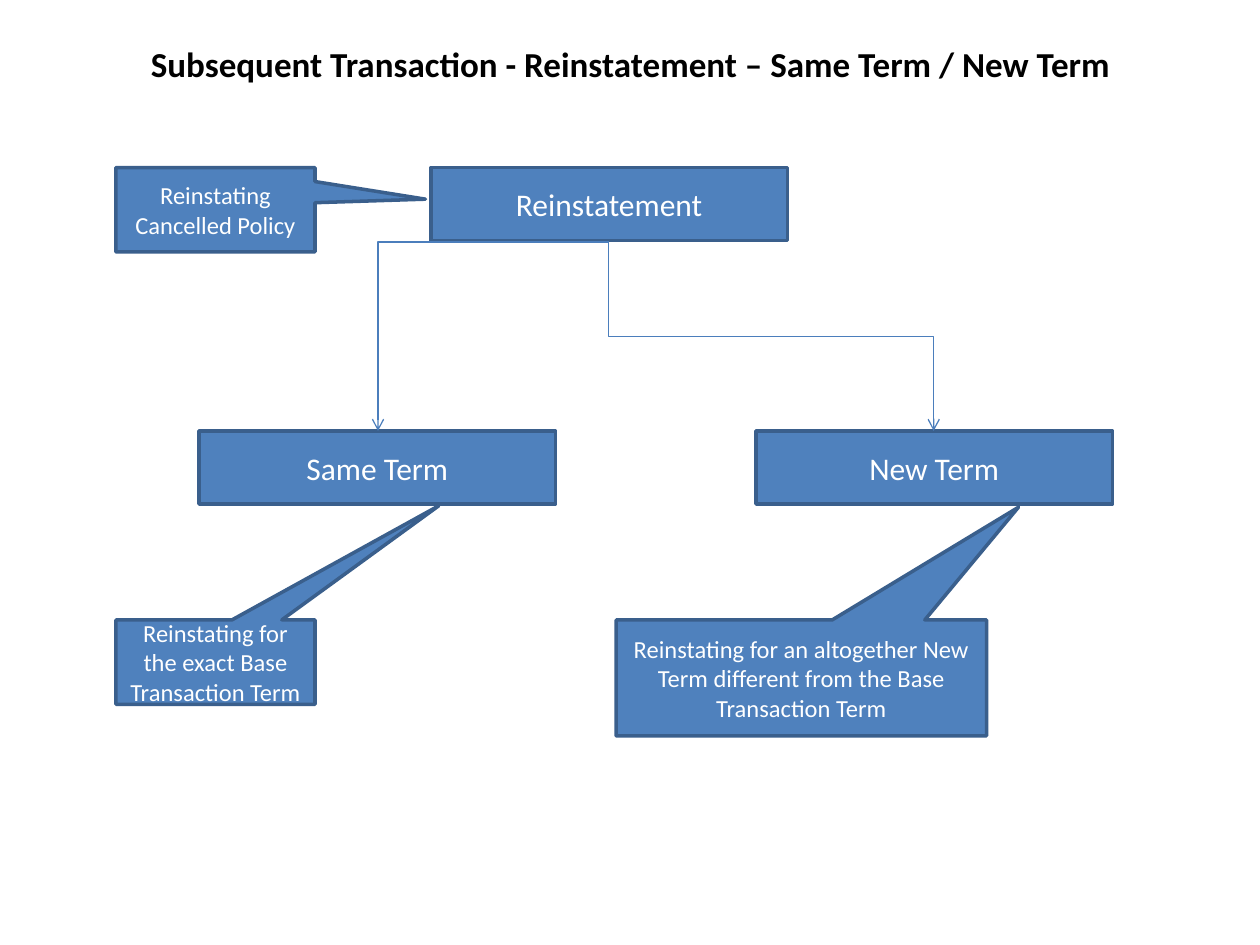
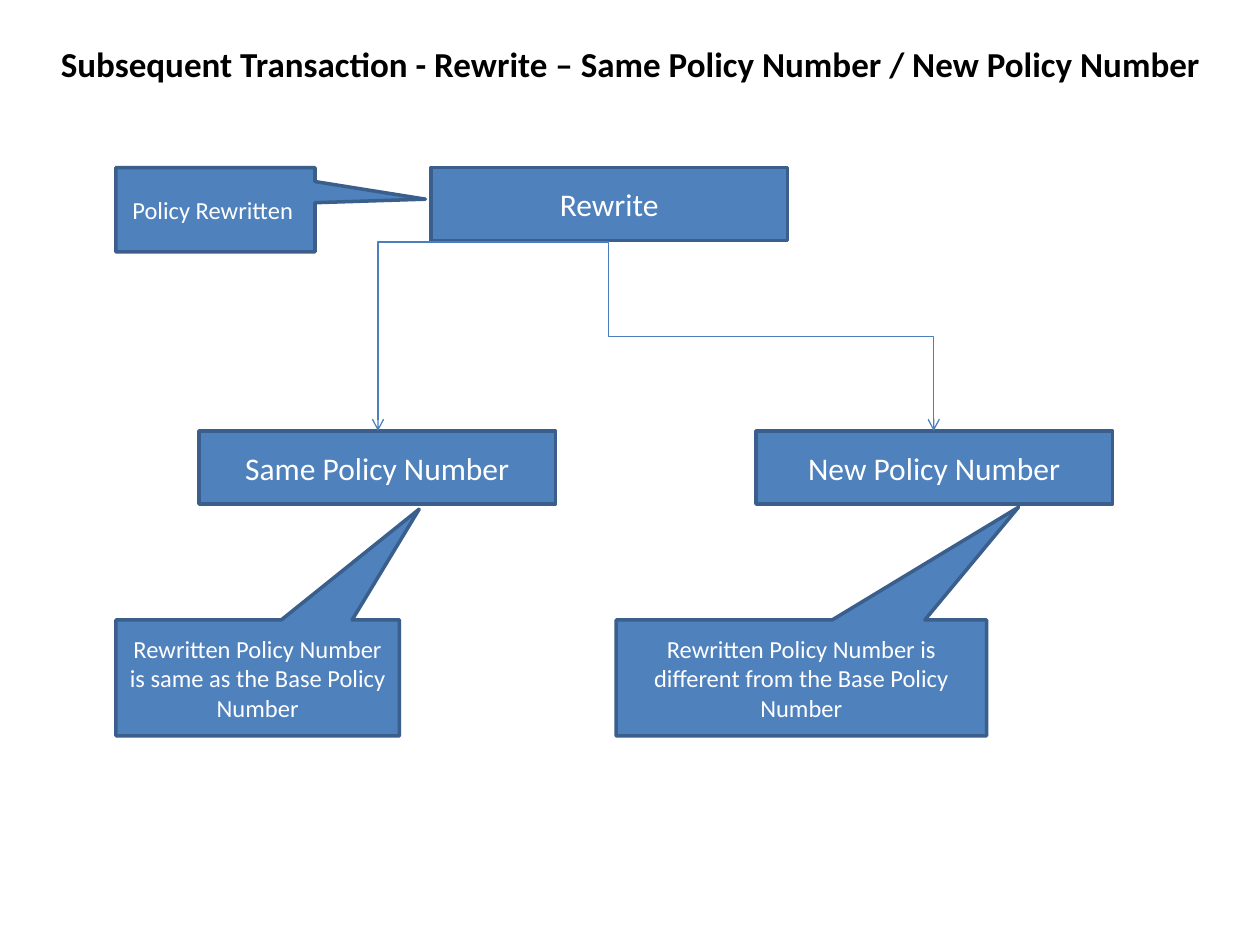
from lxml import etree
from pptx import Presentation
from pptx.dml.color import RGBColor
from pptx.enum.shapes import MSO_CONNECTOR as Connector, MSO_SHAPE as Shape
from pptx.enum.text import MSO_ANCHOR as Anchor, PP_ALIGN as Align
from pptx.oxml.ns import qn
from pptx.util import Inches, Pt

BLACK = RGBColor(0x00, 0x00, 0x00)
WHITE = RGBColor(0xFF, 0xFF, 0xFF)
BLUE = RGBColor(0x4F, 0x81, 0xBD)
OUTLINE = RGBColor(0x3A, 0x5F, 0x8C)
ARROW = RGBColor(0x4B, 0x7E, 0xBC)

BOX_SIZE = (2.83, 0.58)
BOX_PLACES = [(3.42, 1.33), (1.58, 3.42), (6, 3.42)]

# Preset, place and size before turning, turn and flip, target box
ARROWS = [
    ("bentConnector2", (3, 1.92, 1.83, 1.5), {"rot": "10800000", "flipV": "1"}, 1),
    ("bentConnector3", (5.37, 1.38, 1.5, 2.58), {"rot": "16200000", "flipH": "1"}, 2),
]

# Callouts: text, place and size, tip offset from the centre as a share of the size
TOP_CALLOUT = ((0.92, 1.33, 1.58, 0.67), (1.055, -0.125))
RIGHT_CALLOUT = ((4.89, 4.92, 2.94, 0.92), (0.586, -1.472))
SLIDES = [
    {
        "title": "Subsequent Transaction - Reinstatement – Same Term / New Term",
        "boxes": ["Reinstatement", "Same Term", "New Term"],
        "callouts": [
            ("Reinstating Cancelled Policy", *TOP_CALLOUT),
            ("Reinstating for the exact Base Transaction Term",
             (0.92, 4.92, 1.58, 0.67), (1.122, -1.852)),
            ("Reinstating for an altogether New Term different from the Base "
             "Transaction Term", *RIGHT_CALLOUT),
        ],
    },
    {
        "title": "Subsequent Transaction - Rewrite – Same Policy Number / New Policy Number",
        "boxes": ["Rewrite", "Same Policy Number", "New Policy Number"],
        "callouts": [
            ("Policy Rewritten ", *TOP_CALLOUT),
            ("Rewritten Policy Number is same as the Base Policy Number",
             (0.92, 4.92, 2.25, 0.92), (0.57, -1.456)),
            ("Rewritten Policy Number is different from the Base Policy Number",
             *RIGHT_CALLOUT),
        ],
    },
]


def write(shape, text, size, color, bold=False):
    """Put one centred paragraph in the middle of a shape."""
    frame = shape.text_frame
    frame.word_wrap = True
    frame.vertical_anchor = Anchor.MIDDLE
    paragraph = frame.paragraphs[0]
    paragraph.text = text
    paragraph.alignment = Align.CENTER
    font = paragraph.font
    font.name, font.size, font.bold = "Calibri", Pt(size), bold
    font.color.rgb = color


def add_blue_shape(slide, preset, place, text, size):
    """Add a blue outlined shape with white text and return it."""
    shape = slide.shapes.add_shape(preset, *map(Inches, place))
    shape.shadow.inherit = False
    shape.fill.solid()
    shape.fill.fore_color.rgb = BLUE
    shape.line.color.rgb = OUTLINE
    shape.line.width = Pt(2)
    write(shape, text, size, WHITE)
    return shape


presentation = Presentation()
presentation.slide_width = Inches(10)
presentation.slide_height = Inches(7.5)

for content in SLIDES:
    slide = presentation.slides.add_slide(presentation.slide_layouts[6])
    title = slide.shapes.add_textbox(*map(Inches, (0.17, 0.17, 9.67, 0.67)))
    write(title, content["title"], 20, BLACK, bold=True)

    boxes = [
        add_blue_shape(slide, Shape.RECTANGLE, place + BOX_SIZE, text, 18)
        for place, text in zip(BOX_PLACES, content["boxes"])
    ]

    for text, place, tip in content["callouts"]:
        callout = add_blue_shape(slide, Shape.RECTANGULAR_CALLOUT, place, text, 14)
        callout.adjustments[0], callout.adjustments[1] = tip

    for preset, place, turn, target in ARROWS:
        arrow = slide.shapes.add_connector(Connector.ELBOW, 0, 0, 0, 0)
        arrow.begin_connect(boxes[0], 2)
        arrow.end_connect(boxes[target], 0)
        # Joining moves the ends, so the turned frame is set afterwards
        arrow.left, arrow.top, arrow.width, arrow.height = map(Inches, place)
        properties = arrow._element.spPr
        frame = properties.find(qn("a:xfrm"))
        for flip in ("flipH", "flipV"):
            frame.attrib.pop(flip, None)
        for name, value in turn.items():
            frame.set(name, value)
        properties.find(qn("a:prstGeom")).set("prst", preset)
        arrow.line.color.rgb = ARROW
        arrow.line.width = Pt(0.75)
        line = properties.find(qn("a:ln"))
        etree.SubElement(line, qn("a:tailEnd"), type="arrow")
        etree.SubElement(properties, qn("a:effectLst"))

presentation.save("out.pptx")
